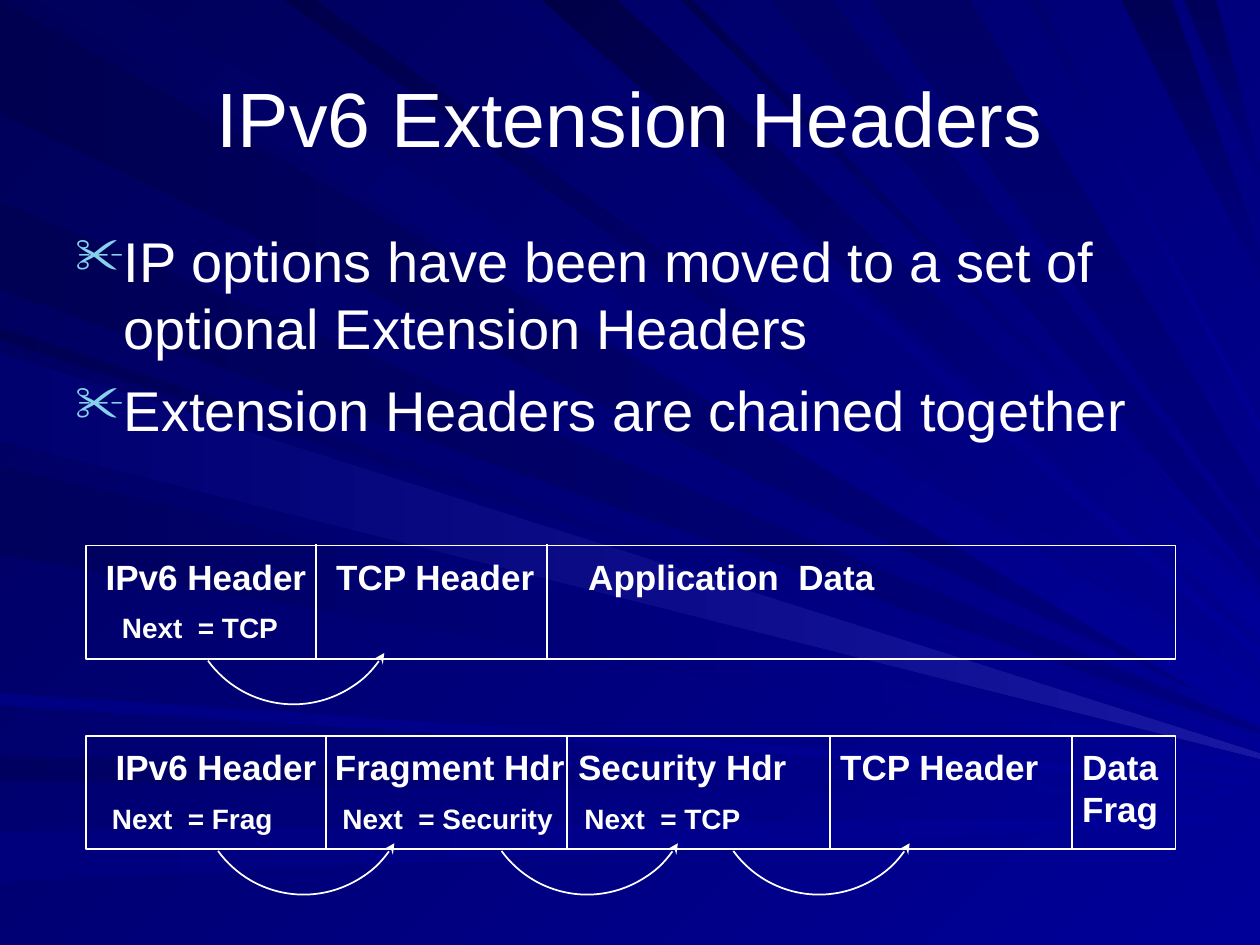
from lxml import etree
from pptx import Presentation
from pptx.dml.color import RGBColor
from pptx.enum.shapes import MSO_CONNECTOR, MSO_SHAPE
from pptx.enum.text import MSO_ANCHOR, MSO_AUTO_SIZE, PP_ALIGN
from pptx.oxml.ns import qn
from pptx.util import Inches, Pt

RECT, ARC = MSO_SHAPE.RECTANGLE, MSO_SHAPE.ARC
LINE = MSO_CONNECTOR.STRAIGHT
MIDDLE, CENTER = MSO_ANCHOR.MIDDLE, PP_ALIGN.CENTER
GROW = MSO_AUTO_SIZE.SHAPE_TO_FIT_TEXT
FONT, WHITE, ICE = "Arial", "FFFFFF", "86D1EC"
DEEP, BLUE, NAVY = "000058", "000099", "000080"

TITLE = "IPv6 Extension Headers"
BULLETS = [
    "IP options have been moved to a set of optional Extension Headers",
    "Extension Headers are chained together",
]
ROWS = [
    {
        "top": 4.33,
        "heads": [(0.74, 1.8, "IPv6 Header"), (2.57, 1.78, "TCP Header"),
                  (4.57, 2.48, "Application  Data")],
        "nexts": [(0.87, 1.44, "Next  = TCP")],
        "cuts": [2.51, 4.34],
        "arcs": [2.33],
    },
    {
        "top": 5.84,
        "heads": [(0.82, 1.8, "IPv6 Header"), (2.56, 2.03, "Fragment Hdr"),
                  (4.49, 1.86, "Security Hdr"), (6.57, 1.78, "TCP Header"),
                  (8.49, 0.81, "Data\nFrag")],
        "nexts": [(0.79, 1.48, "Next  = Frag"), (2.62, 1.87, "Next  = Security"),
                  (4.54, 1.44, "Next  = TCP")],
        "cuts": [2.59, 4.5, 6.59, 8.51],
        "arcs": [2.41, 4.66, 6.5],
    },
]
LEFT = [
    (0, 0.9, 5.7, "000051", NAVY),
    (1.6, 2.3, 5.8, "000055", NAVY),
    (2.6, 2.7, 5.9, "000053", BLUE),
    (2.8, 3.5, 6, "00006F", "1717A2"),
    (3.7, 4.4, 6.1, "00005D", BLUE),
    (5.5, 5.6, 6.2, "000082", BLUE),
    (6, 6.2, 6.3, "000061", BLUE),
    (6.6, 7, 6.5, "00007D", BLUE),
]
TOP = [
    (0.3, 1, 5.6, "00005D", BLUE),
    (2.25, 2.5, 5.5, "00004A", BLUE),
    (4, 4.2, 5.2, "00006B", BLUE),
    (4.3, 4.9, 4.9, "000047", BLUE),
    (5.4, 5.5, 4.6, "00004F", BLUE),
    (6.1, 6.6, 4.5, "000065", NAVY),
    (6.9, 7.7, 4.1, "000065", NAVY),
    (8.15, 8.25, 3.4, "00006F", BLUE),
    (8.9, 9.3, 2.1, "000055", NAVY),
    (9.4, 9.65, 1.4, "000059", NAVY),
]


def tint(color, code):
    color.rgb = RGBColor.from_string(code)


def paint(fill, start, end, angle):
    fill.gradient()
    fill.gradient_angle = -angle % 360
    for stop, code in zip(fill.gradient_stops, (start, end)):
        tint(stop.color, code)


def add_ray(base, tip, half, start, end, angle):
    points = base + [(10, tip - half), (10, tip + half)]
    first, *rest = [(Inches(x), Inches(y)) for x, y in points]
    pen = shapes.build_freeform(*first)
    pen.add_line_segments(rest, close=True)
    ray = pen.convert_to_shape()
    ray.shadow.inherit = False
    ray.line.fill.background()
    paint(ray.fill, start, end, angle)


def add_text(x, y, w, h, lines, size, bold=False, wrap=False):
    box = shapes.add_textbox(Inches(x), Inches(y), Inches(w), Inches(h))
    frame = box.text_frame
    frame.text = lines
    frame.word_wrap = wrap
    if not wrap:
        frame.auto_size = GROW
    for para in frame.paragraphs:
        font = para.font
        font.name, font.size, font.bold = FONT, Pt(size), bold
        tint(font.color, WHITE)
    return frame


def add_bullet(para):
    props = para._p.get_or_add_pPr()
    props.set("marL", str(Inches(0.38)))
    props.set("indent", str(Inches(-0.38)))
    color = etree.Element(qn("a:buClr"))
    etree.SubElement(color, qn("a:srgbClr"), val=ICE)
    marks = [color, etree.Element(qn("a:buSzPct"), val="90000"),
             etree.Element(qn("a:buChar"), char="✂")]
    for spot, mark in enumerate(marks):
        props.insert(spot, mark)


def stroke(shape):
    tint(shape.line.color, WHITE)
    shape.line.width = Pt(1)


def add_shape(kind, x, y, w, h):
    shape = shapes.add_shape(kind, Inches(x), Inches(y), Inches(w), Inches(h))
    shape.shadow.inherit = False
    shape.fill.background()
    stroke(shape)
    return shape


def add_arc(x, y, radius=0.84):
    arc = add_shape(ARC, x - radius, y - radius, 2 * radius, 2 * radius)
    for i, angle in enumerate((31, 144)):
        arc.adjustments[i] = angle * 0.6
    line = arc.element.spPr.find(qn("a:ln"))
    etree.SubElement(line, qn("a:headEnd"), type="stealth")


def add_cut(x, top):
    cut = shapes.add_connector(LINE, Inches(x), Inches(top), Inches(x), Inches(top + 0.91))
    stroke(cut)
    etree.SubElement(cut.element.spPr, qn("a:effectLst"))


def add_row(row):
    top = row["top"]
    add_shape(RECT, 0.68, top, 8.65, 0.9)
    for x, w, text in row["heads"]:
        add_text(x, top + 0.03, w, 0.77 if "\n" in text else 0.43, text, 20, True)
    for x, w, text in row["nexts"]:
        add_text(x, top + 0.47, w, 0.37, text, 16, True)
    for x in row["cuts"]:
        add_cut(x, top - 0.01)
    for x in row["arcs"]:
        add_arc(x, top + 0.42)


deck = Presentation()
deck.slide_width, deck.slide_height = Inches(10), Inches(7.5)
slide = deck.slides.add_slide(deck.slide_layouts[6])
shapes = slide.shapes
paint(slide.background.fill, DEEP, BLUE, 45)
for low, high, tip, start, end in LEFT:
    add_ray([(0, high), (0, low)], tip, 0.02, start, end, 0)
for low, high, tip, start, end in TOP:
    half = (high - low) / 4
    add_ray([(low, 0), (high, 0)], tip, half, start, end, 45 if end == BLUE else 90)

title = add_text(0.5, 0.3, 9, 1.25, TITLE, 44, wrap=True)
title.vertical_anchor = MIDDLE
title.paragraphs[0].alignment = CENTER

body = add_text(0.5, 1.75, 9, 4.95, "\n".join(BULLETS), 32, wrap=True)
for para in body.paragraphs:
    add_bullet(para)
body.paragraphs[1].space_before = Pt(8)

for row in ROWS:
    add_row(row)
deck.save("out.pptx")
